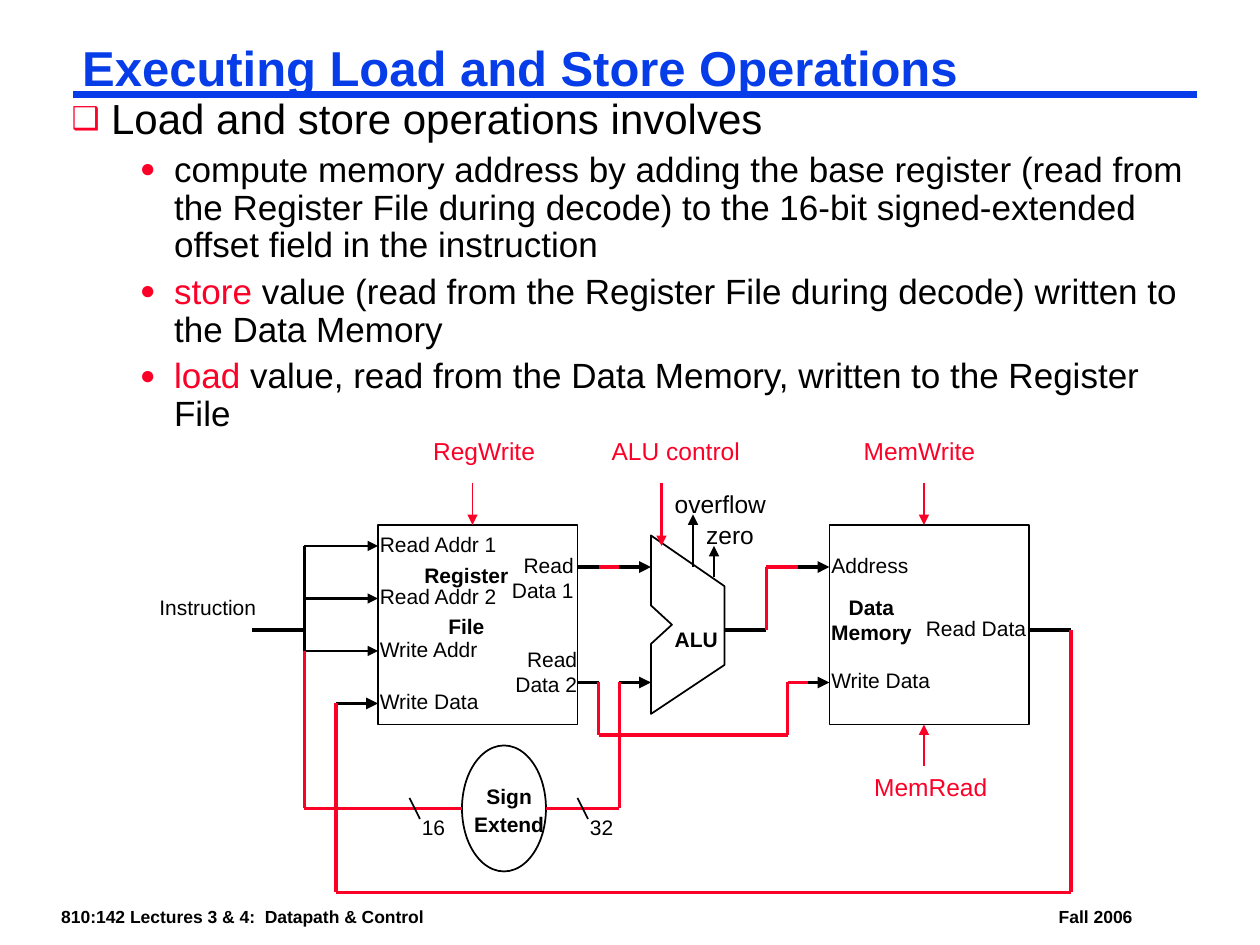
import pptx
import pptx.util
import pptx.dml.color
import pptx.enum.shapes
import pptx.enum.text
import pptx.oxml.ns
from itertools import pairwise
from lxml import etree

Pt = pptx.util.Pt
ALIGN = pptx.enum.text.PP_ALIGN
LEFT, CENTER, RIGHT = ALIGN.LEFT, ALIGN.CENTER, ALIGN.RIGHT
SHAPE = pptx.enum.shapes.MSO_SHAPE
COLORS = {"black": "000000", "red": "FC0128", "blue": "063DE8"}

TITLE = "Executing Load and Store Operations"
BULLETS = [
    (0, [("Load and store operations involves", "black")]),
    (1, [("compute memory address by adding the base register (read from the Register File "
          "during decode) to the 16-bit signed-extended offset field in the instruction", "black")]),
    (1, [("store", "red"),
         (" value (read from the Register File during decode) written to the Data Memory", "black")]),
    (1, [("load ", "red"),
         ("value, read from the Data Memory, written to the Register File", "black")]),
]
LEVELS = [
    dict(size=24, before=6, margin=22.5, hang=22.5, mark="❑"),
    dict(size=20, before=5, margin=58.5, hang=19.5, mark="●"),
]

STYLES = {
    "footer": dict(size=10, bold=True, inset=(5, 2)),
    "port": dict(size=12, inset=(7.2, 3.6)),
    "unit": dict(size=12, bold=True, inset=(7.2, 3.6)),
    "caption": dict(size=12, bold=True, inset=(1.5, 2.2), line=16),
    "flag": dict(size=14, inset=(1.5, 2.2), line=18, around=6),
    "signal": dict(size=14, color="red", inset=(1.5, 2.2), line=18, around=6),
}
LABELS = [
    ("footer", 30, 516, 222, 16, LEFT, ["810:142 Lectures 3 & 4:  Datapath & Control"]),
    ("footer", 600, 516, 57, 16, LEFT, ["Fall 2006"]),
    ("port", 84, 336, 74, 21.6, LEFT, ["Instruction"]),
    ("port", 210, 300, 85, 21.6, LEFT, ["Read Addr 1"]),
    ("port", 210, 330, 85, 21.6, LEFT, ["Read Addr 2"]),
    ("port", 210, 360, 75, 21.6, LEFT, ["Write Addr"]),
    ("port", 210, 390, 75, 21.6, LEFT, ["Write Data"]),
    ("port", 280, 312, 55, 36, RIGHT, ["Read", "Data 1"]),
    ("port", 282, 366, 55, 36, RIGHT, ["Read", "Data 2"]),
    ("port", 468, 312, 63, 21.6, LEFT, ["Address"]),
    ("port", 468, 378, 75, 21.6, LEFT, ["Write Data"]),
    ("port", 522, 348, 75, 21.6, LEFT, ["Read Data"]),
    ("port", 234, 462, 30, 21.6, LEFT, ["16"]),
    ("port", 330, 462, 30, 21.6, LEFT, ["32"]),
    ("unit", 465, 336, 66, 36, CENTER, ["Data", "Memory"]),
    ("caption", 384, 354, 40, 26, LEFT, ["ALU"]),
    ("caption", 270, 444, 42, 36, CENTER, ["Sign", "Extend"]),
    ("flag", 384, 276, 84, 24, LEFT, ["overflow"]),
    ("flag", 402, 294, 42, 24, LEFT, ["zero"]),
    ("signal", 246, 246, 73, 26, LEFT, ["RegWrite"]),
    ("signal", 348, 246, 73, 26, LEFT, ["ALU control"]),
    ("signal", 492, 246, 73, 26, LEFT, ["MemWrite"]),
    ("signal", 498, 438, 73, 26, LEFT, ["MemRead"]),
    ("unit", 232.5, 318, 68, 50, CENTER, ["Register", "File"], 14.4),
]

UNITS = [
    (SHAPE.RECTANGLE, 216, 300, 114, 114),
    (SHAPE.RECTANGLE, 474, 300, 114, 114),
    (SHAPE.OVAL, 264, 426, 48, 72),
]
ALU = [(372, 306), (372, 345.5), (384, 357), (372, 368), (372, 408), (414, 379.5), (414, 335)]

WIRES = [
    ("black", 2.25, False, [(144, 360), (174, 360)]),
    ("black", 2.25, False, [(174, 312), (174, 372)]),
    ("black", 2.25, False, [(588, 360), (612, 360)]),
    ("black", 2.25, False, [(414, 360), (438, 360)]),
    ("black", 2.25, False, [(330, 324), (342, 324)]),
    ("black", 2.25, False, [(330, 390), (342, 390)]),
    *[("black", 1.5, True, [(174, y), (216, y)]) for y in (312, 342, 372)],
    *[("black", 2.25, True, [(x, y), (end, y)]) for x, end, y in
      [(192, 216, 402), (354, 372, 324), (354, 372, 390), (456, 474, 324), (456, 474, 390)]],
    ("black", 1, True, [(396, 324), (396, 294)]),
    ("black", 1, True, [(408, 330), (408, 312)]),
    ("red", 1.5, True, [(378, 276), (378, 312)]),
    ("red", 1, True, [(270, 276), (270, 300)]),
    ("red", 1, True, [(528, 276), (528, 300)]),
    ("red", 1, True, [(528, 438), (528, 414)]),
    ("red", 2.25, False, [(342, 324), (354, 324)]),
    ("red", 2.25, False, [(438, 360), (438, 324), (456, 324)]),
    ("red", 2.25, False, [(342, 390), (342, 420), (450, 420), (450, 390), (462, 390)]),
    ("red", 2.25, False, [(192, 402), (192, 510), (612, 510), (612, 360)]),
    ("red", 2.25, False, [(174, 372), (174, 462), (264, 462)]),
    ("red", 2.25, False, [(312, 462), (354, 462), (354, 390)]),
    ("black", 1, False, [(234, 456), (240, 468)]),
    ("black", 1, False, [(330, 456), (336, 468)]),
    ("blue", 4.5, False, [(42, 54), (684, 54)]),
]


def rgb(name):
    return pptx.dml.color.RGBColor.from_string(COLORS[name])


def add_child(parent, tag, **attributes):
    return etree.SubElement(parent, pptx.oxml.ns.qn(tag), attributes)


def set_font(font, size, color=None, bold=False):
    font.name, font.size, font.bold = "Arial", Pt(size), bold
    if color:
        font.color.rgb = rgb(color)


def set_frame(frame, inset, wrap):
    frame.margin_left = frame.margin_right = Pt(inset[0])
    frame.margin_top = frame.margin_bottom = Pt(inset[1])
    frame.word_wrap, frame.auto_size = wrap, pptx.enum.text.MSO_AUTO_SIZE.NONE
    frame.vertical_anchor = pptx.enum.text.MSO_ANCHOR.TOP


def place(box, *bounds):
    box.left, box.top, box.width, box.height = map(Pt, bounds)
    set_frame(box.text_frame, (5, 2), True)
    return box.text_frame


def add_label(page, style, x, y, width, height, align, lines, gap=0):
    look = STYLES[style]
    frame = page.shapes.add_textbox(Pt(x), Pt(y), Pt(width), Pt(height)).text_frame
    set_frame(frame, look["inset"], False)
    around = look.get("around", 0)
    for index, line in enumerate(lines):
        para = frame.add_paragraph() if index else frame.paragraphs[0]
        para.text, para.alignment = line, align
        set_font(para.font, look["size"], look.get("color", "black"), look.get("bold", False))
        if "line" in look:
            para.line_spacing = Pt(look["line"])
        para.space_before = Pt(around + (gap if index else 0))
        para.space_after = Pt(around)


def outline(shape):
    shape.shadow.inherit = False
    shape.fill.background()
    shape.line.color.rgb, shape.line.width = rgb("black"), Pt(1)


def add_wire(page, color, weight, arrow, points):
    for index, (start, end) in enumerate(pairwise(points), 2):
        wire = page.shapes.add_connector(
            pptx.enum.shapes.MSO_CONNECTOR.STRAIGHT, *map(Pt, start + end))
        wire.line.color.rgb, wire.line.width = rgb(color), Pt(weight)
        props = wire._element.spPr
        if arrow and index == len(points):
            add_child(props.find(pptx.oxml.ns.qn("a:ln")), "a:tailEnd", type="triangle")
        add_child(props, "a:effectLst")


def add_bullets(frame):
    for index, (level, spans) in enumerate(BULLETS):
        look = LEVELS[level]
        para = frame.add_paragraph() if index else frame.paragraphs[0]
        para.level = level
        props = para._p.get_or_add_pPr()
        props.set("marL", str(Pt(look["margin"])))
        props.set("indent", str(-Pt(look["hang"])))
        add_child(add_child(props, "a:buClr"), "a:srgbClr", val=COLORS["red"])
        add_child(props, "a:buSzPct", val="75000")
        add_child(props, "a:buChar", char=look["mark"])
        para.line_spacing, para.space_before = 0.9, Pt(look["before"])
        para.alignment = LEFT
        set_font(para.font, look["size"])
        for text, color in spans:
            span = para.add_run()
            span.text = text
            span.font.color.rgb = rgb(color)


def main():
    deck = pptx.Presentation()
    deck.slide_width, deck.slide_height = Pt(720), Pt(540)
    page = deck.slides.add_slide(deck.slide_layouts[1])
    heading = place(page.shapes.title, 42, 24, 642, 33).paragraphs[0]
    heading.text, heading.alignment, heading.line_spacing = TITLE, LEFT, 0.87
    set_font(heading.font, 28, "blue", True)
    add_bullets(place(page.placeholders[1], 36, 54, 654, 216))
    for kind, *bounds in UNITS:
        outline(page.shapes.add_shape(kind, *map(Pt, bounds)))
    builder = page.shapes.build_freeform(*ALU[0], scale=Pt(1))
    builder.add_line_segments(ALU[1:], close=True)
    outline(builder.convert_to_shape())
    for label in LABELS:
        add_label(page, *label)
    for wire in WIRES:
        add_wire(page, *wire)
    deck.save("out.pptx")


if __name__ == "__main__":
    main()
